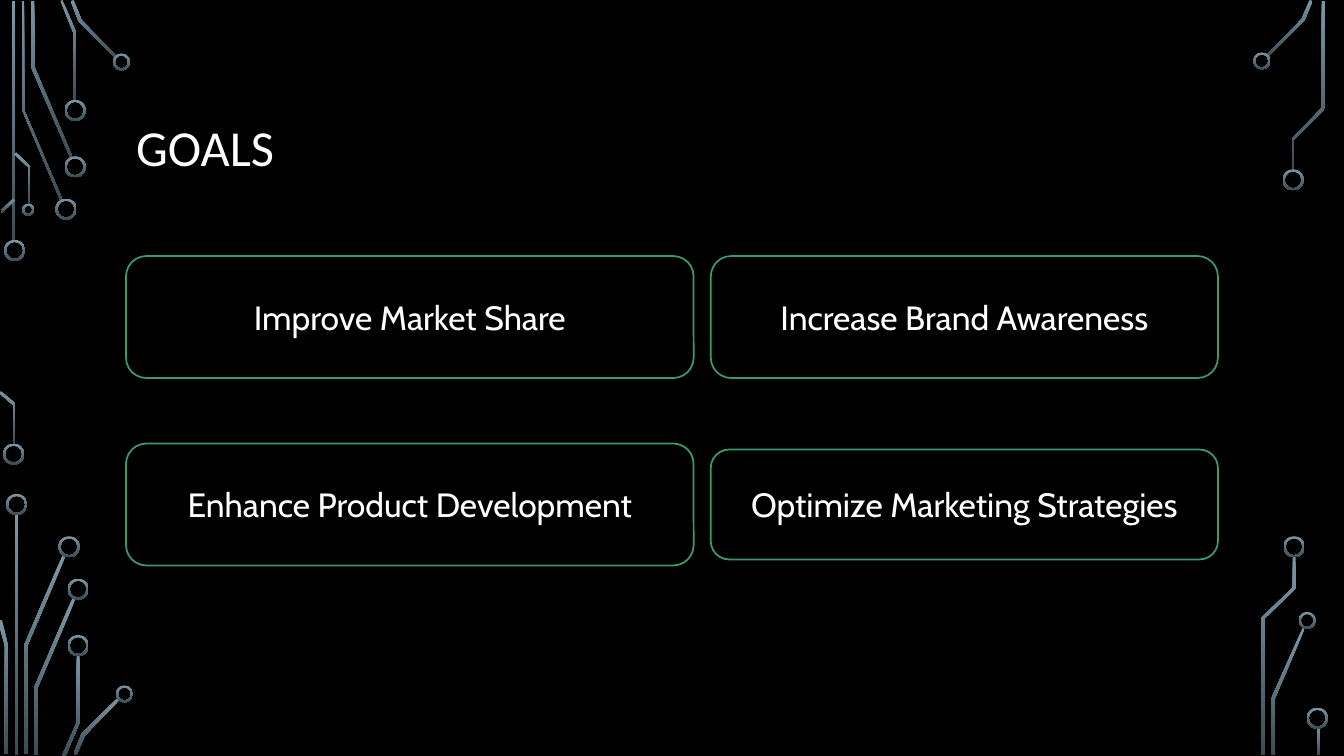
"""Build the Goals slide: four outlined boxes framed by circuit-board traces."""
from pptx import Presentation
from pptx.dml.color import RGBColor
from pptx.enum.shapes import MSO_SHAPE
from pptx.enum.text import MSO_ANCHOR, PP_ALIGN
from pptx.util import Inches, Pt

BLACK = RGBColor(0x00, 0x00, 0x00)
WHITE = RGBColor(0xFF, 0xFF, 0xFF)
GREEN = RGBColor(0x3A, 0x9A, 0x6D)
TRACE_TOP = RGBColor(0x7C, 0x96, 0xA3)
TRACE_BOTTOM = RGBColor(0x3B, 0x4C, 0x54)


def style_trace(shape):
    shape.shadow.inherit = False
    shape.line.fill.background()
    shape.fill.gradient()
    shape.fill.gradient_angle = 270
    for stop, color, position in zip(shape.fill.gradient_stops, (TRACE_TOP, TRACE_BOTTOM), (0, 1)):
        stop.color.rgb = color
        stop.position = position


def add_run(paragraph, text, font_name, size):
    run = paragraph.add_run()
    run.text = text
    run.font.name = font_name
    run.font.size = Pt(size)
    run.font.color.rgb = WHITE


presentation = Presentation()
presentation.slide_width = Inches(13.33)
presentation.slide_height = Inches(7.5)
slide = presentation.slides.add_slide(presentation.slide_layouts[5])
slide.background.fill.solid()
slide.background.fill.fore_color.rgb = BLACK

straight_traces = [(0.12, 0.01, 2.39), (0.15, 5.1, 2.39), (13.06, 7.21, 0.28)]
for left, top, height in straight_traces:
    style_trace(slide.shapes.add_shape(
        MSO_SHAPE.RECTANGLE, Inches(left), Inches(top), Inches(0.03), Inches(height)))

bent_traces = [
    [(0.6, 1.99), (0.22, 1.09), (0.22, 0.01), (0.24, 0.01), (0.24, 1.09), (0.62, 1.98)],
    [(0.7, 1.57), (0.31, 0.67), (0.31, 0.01), (0.34, 0.01), (0.34, 0.66), (0.72, 1.56)],
    [(0.76, 1), (0.73, 1), (0.73, 0.33), (0.6, 0.01), (0.62, 0), (0.76, 0.33)],
    [(1.15, 0.58), (0.78, 0.21), (0.7, 0.01), (0.73, 0), (0.81, 0.2), (1.16, 0.56)],
    [(0.02, 2.11), (0.01, 2.09), (0.13, 1.97), (0.15, 1.99)],
    [(0.15, 4.41), (0.13, 4.41), (0.13, 4.02), (-0.01, 3.9), (0.01, 3.88), (0.15, 4)],
    [(0.3, 2.03), (0.28, 2.03), (0.28, 1.66), (0.14, 1.53), (0.16, 1.51), (0.3, 1.65)],
    [(0.27, 7.48), (0.24, 7.48), (0.24, 6.4), (0.62, 5.51), (0.65, 5.52), (0.27, 6.41)],
    [(0.08, 7.48), (0.05, 7.48), (0.05, 6.41), (-0.02, 6.16), (0.02, 6.15), (0.08, 6.41)],
    [(0.37, 7.49), (0.34, 7.49), (0.34, 6.82), (0.72, 5.93), (0.75, 5.94), (0.37, 6.83)],
    [(0.65, 7.5), (0.62, 7.49), (0.76, 7.17), (0.76, 6.5), (0.79, 6.5), (0.79, 7.17)],
    [(0.76, 7.49), (0.73, 7.48), (0.81, 7.28), (1.17, 6.92), (1.19, 6.94), (0.84, 7.3)],
    [(12.58, 0.56), (12.56, 0.55), (12.91, 0.19), (12.99, 0), (13.02, 0.01), (12.94, 0.2)],
    [(12.64, 7.49), (12.61, 7.49), (12.61, 6.93), (12.92, 6.23), (12.94, 6.24), (12.64, 6.94)],
    [(12.83, 1.69), (12.81, 1.69), (12.81, 1.38), (13.11, 1.07),
     (13.11, 0.01), (13.14, 0.01), (13.14, 1.08), (12.83, 1.39)],
    [(12.54, 7.49), (12.51, 7.49), (12.51, 6.13), (12.82, 5.83),
     (12.82, 5.52), (12.85, 5.52), (12.85, 5.84), (12.54, 6.14)],
]
for outline in bent_traces:
    points = [(Inches(x), Inches(y)) for x, y in outline]
    builder = slide.shapes.build_freeform(*points[0])
    builder.add_line_segments(points[1:], close=True)
    style_trace(builder.convert_to_shape())

rings_by_diameter = {
    0.21: [(0.04, 2.38), (0.03, 4.4), (0.55, 1.97), (0.64, 1.55), (0.64, 0.99), (0.06, 4.9),
           (0.58, 5.32), (0.67, 5.74), (0.67, 6.3), (12.72, 1.68), (12.73, 5.32), (12.96, 7.02)],
    0.17: [(1.12, 0.53), (1.15, 6.8), (12.43, 0.52), (12.88, 6.07)],
    0.12: [(0.22, 2.02)],
}
for diameter, corners in rings_by_diameter.items():
    for left, top in corners:
        ring = slide.shapes.add_shape(
            MSO_SHAPE.DONUT, Inches(left), Inches(top), Inches(diameter), Inches(diameter))
        ring.adjustments[0] = 0.02 / diameter
        style_trace(ring)

title = slide.shapes.title
title.left, title.top = Inches(1.25), Inches(0.68)
title.width, title.height = Inches(10.83), Inches(1.62)
title.text_frame.vertical_anchor = MSO_ANCHOR.MIDDLE
title_paragraph = title.text_frame.paragraphs[0]
title_paragraph.alignment = PP_ALIGN.LEFT
title_paragraph.line_spacing = 0.9
add_run(title_paragraph, "GOALS", "Calibri", 36)

goals = [
    ("Improve Market Share", 1.25, 2.54, 5.63, 1.21),
    ("Enhance Product Development", 1.25, 4.4, 5.63, 1.21),
    ("Increase Brand Awareness", 7.05, 2.54, 5.03, 1.21),
    ("Optimize Marketing Strategies", 7.05, 4.46, 5.03, 1.09),
]
for goal, left, top, width, height in goals:
    box = slide.shapes.add_shape(
        MSO_SHAPE.ROUNDED_RECTANGLE, Inches(left), Inches(top), Inches(width), Inches(height))
    box.shadow.inherit = False
    box.fill.solid()
    box.fill.fore_color.rgb = BLACK
    box.line.color.rgb = GREEN
    box.line.width = Pt(1.25)
    box.text_frame.word_wrap = True
    box.text_frame.vertical_anchor = MSO_ANCHOR.MIDDLE
    paragraph = box.text_frame.paragraphs[0]
    paragraph.alignment = PP_ALIGN.CENTER
    add_run(paragraph, goal, "Cabin", 24)

presentation.save("out.pptx")
